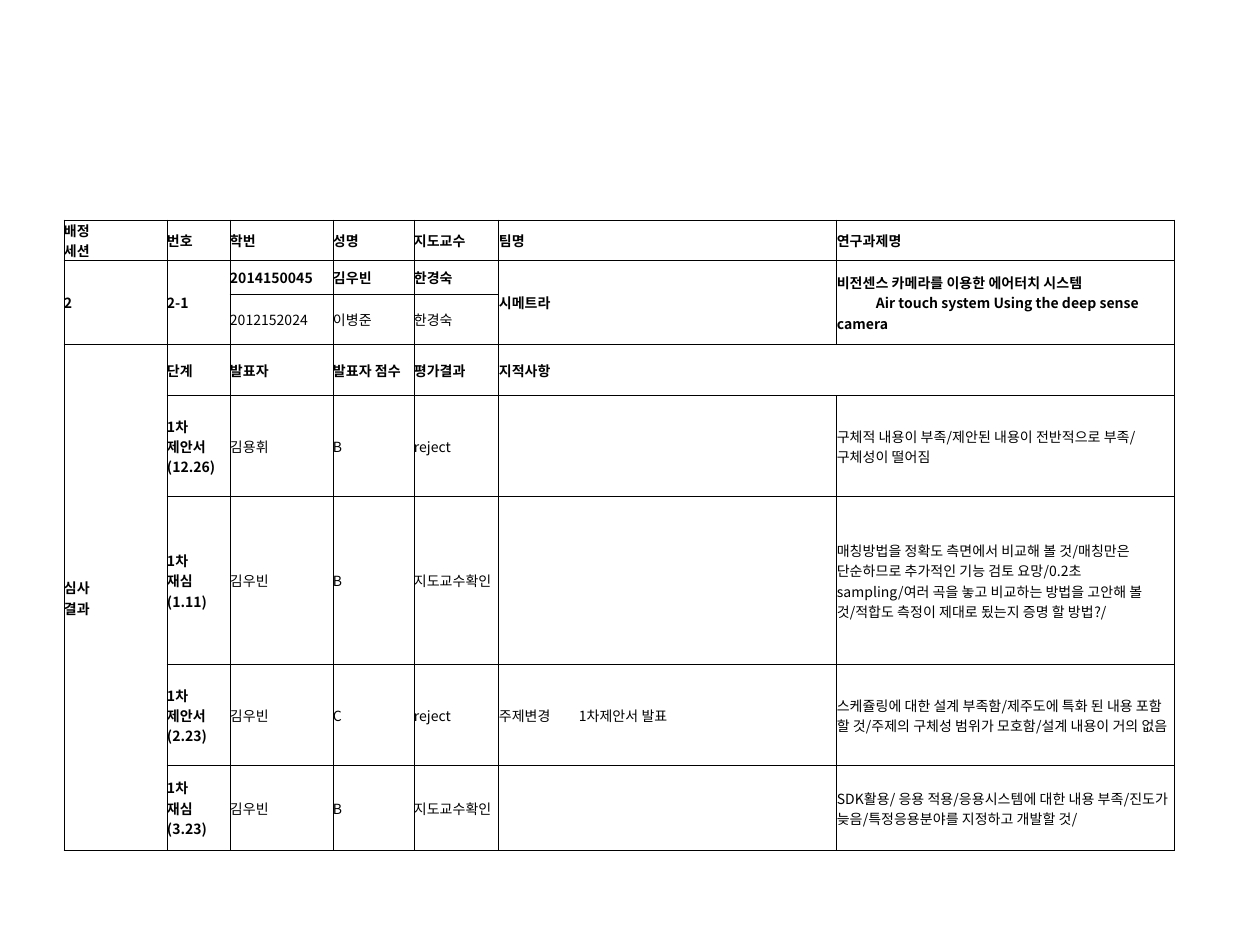
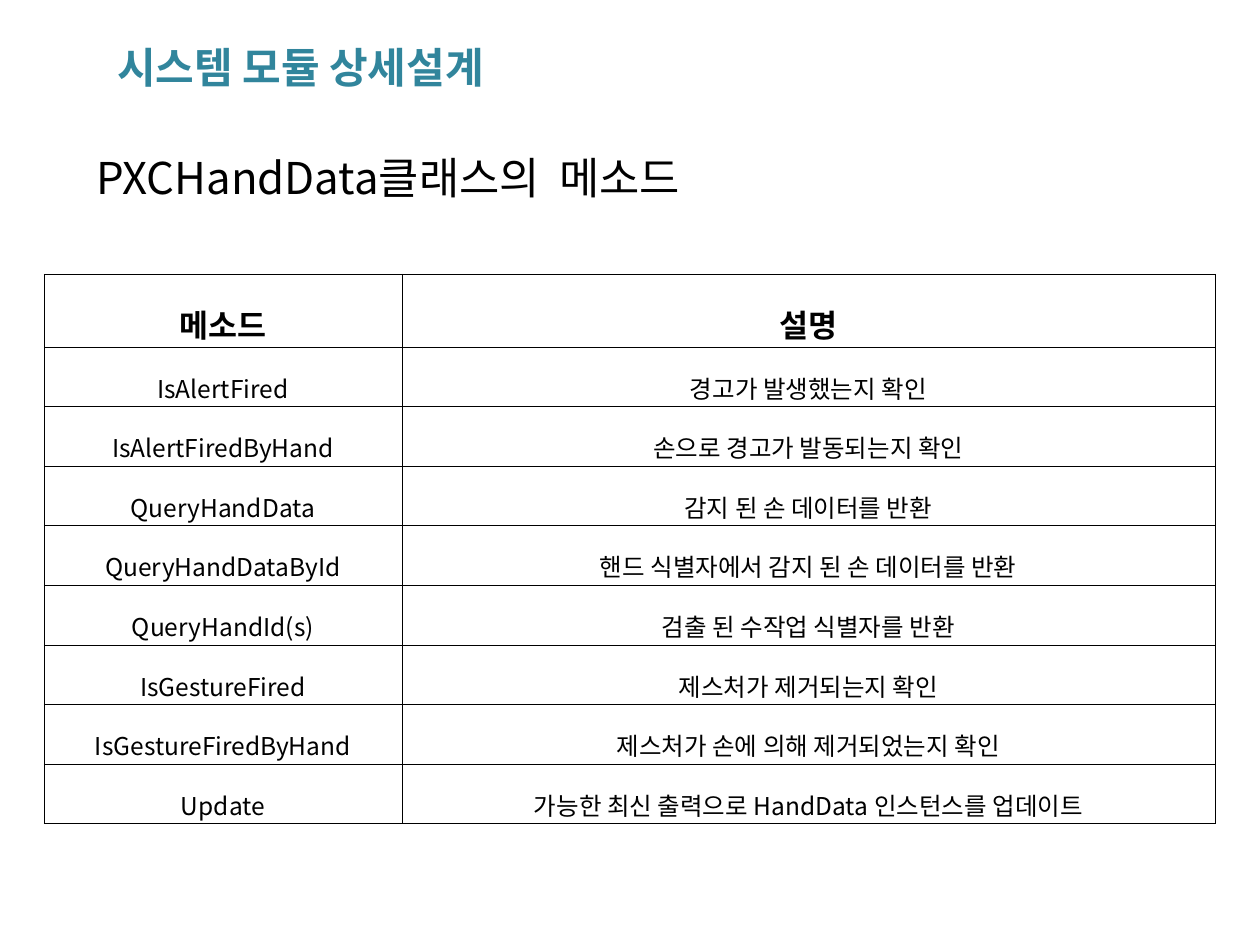
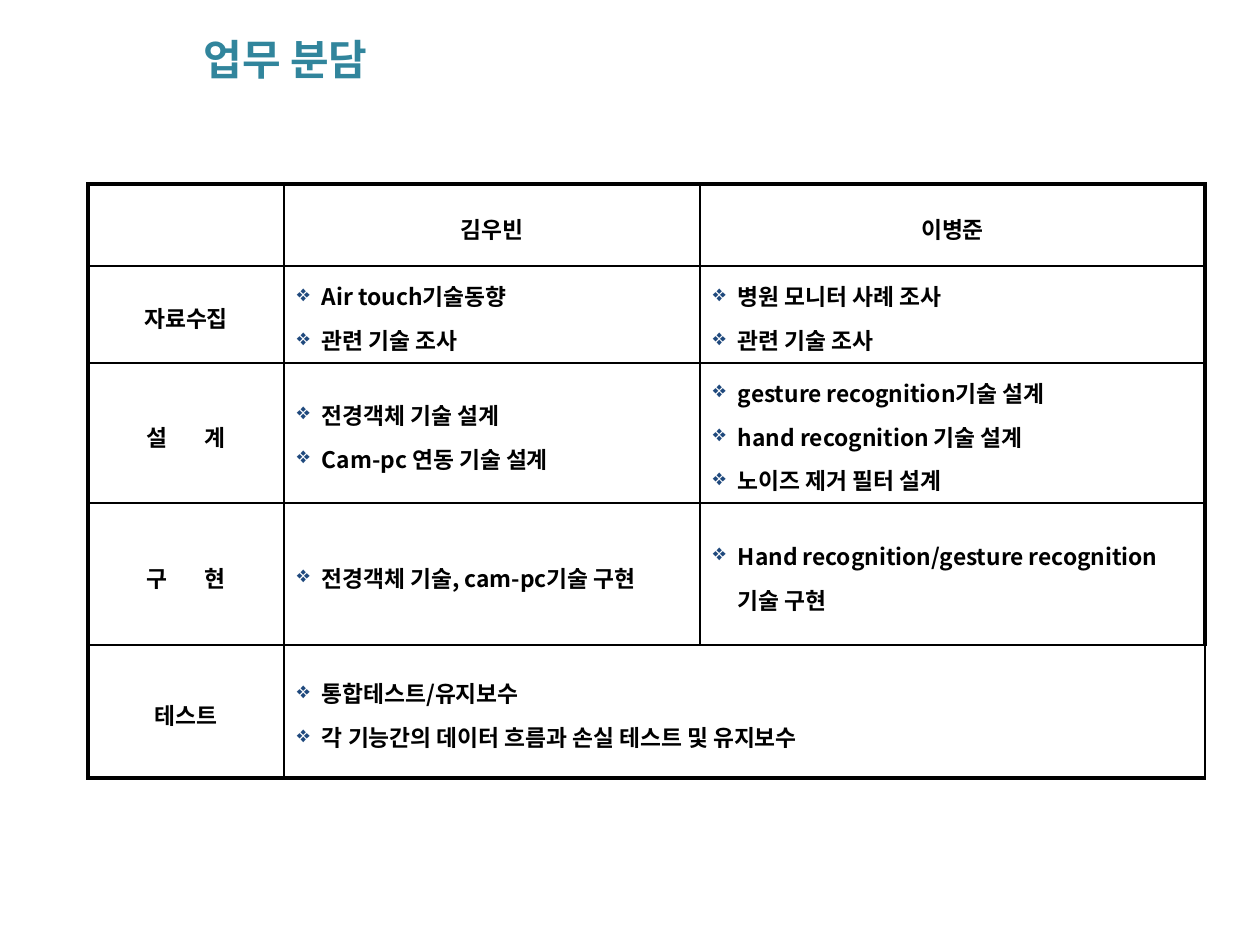
from lxml import etree
from pptx import Presentation
from pptx.dml.color import RGBColor
from pptx.enum.text import MSO_ANCHOR, MSO_AUTO_SIZE, PP_ALIGN
from pptx.oxml.ns import qn
from pptx.util import Pt

MIDDLE = MSO_ANCHOR.MIDDLE
LEFT, CENTER = PP_ALIGN.LEFT, PP_ALIGN.CENTER
FIXED, GROW = MSO_AUTO_SIZE.NONE, MSO_AUTO_SIZE.SHAPE_TO_FIT_TEXT
FONT = "Noto Sans CJK KR"
BLACK, TEAL, NAVY = "000000", "31859C", "1F497D"
TITLE_ONLY, BLANK = 5, 6
HANG = 25


def px(count):
    return round(count * 914400 / 126)


def color(text):
    return RGBColor.from_string(text)


def node(tag, **attrs):
    item = etree.Element(qn(tag))
    for key, value in attrs.items():
        item.set(key, str(value))
    return item


def paint(tag, shade):
    """Wrap a solid colour in the given element."""
    item = node(tag)
    item.append(node("a:srgbClr", val=shade))
    return item


class Deck:
    def __init__(self):
        self.prs = Presentation()
        self.prs.slide_width, self.prs.slide_height = px(1260), px(945)
        self.slide = None

    def add(self, layout):
        self.slide = self.prs.slides.add_slide(self.prs.slide_layouts[layout])

    def style(self, para, size, bold=False, shade=BLACK, align=LEFT):
        para.alignment = align
        font = para.font
        font.size, font.bold, font.name = Pt(size), bold, FONT
        font.color.rgb = color(shade)
        font._rPr.append(node("a:ea", typeface=FONT))

    def title(self, text, left, top):
        self.add(TITLE_ONLY)
        shape = self.slide.shapes.title
        shape.left, shape.top = px(left), px(top)
        shape.width, shape.height = px(493), px(59)
        frame = shape.text_frame
        frame.text = text
        frame.auto_size, frame.vertical_anchor = FIXED, MIDDLE
        self.style(frame.paragraphs[0], 24, True, TEAL, CENTER)

    def label(self, text, left, top, width, height, size):
        box = self.slide.shapes.add_textbox(px(left), px(top), px(width), px(height))
        frame = box.text_frame
        frame.text = text
        frame.word_wrap, frame.auto_size = False, GROW
        self.style(frame.paragraphs[0], size)

    def indent(self, para, left, first):
        props = para._p.get_or_add_pPr()
        props.set("marL", str(px(left)))
        props.set("indent", str(px(first)))

    def bullet(self, para):
        self.indent(para, HANG, -HANG)
        mark = para.font._rPr
        mark.addprevious(paint("a:buClr", NAVY))
        mark.addprevious(node("a:buChar", char="❖"))

    def tab(self, para, stop):
        tabs = node("a:tabLst")
        tabs.append(node("a:tab", pos=px(stop), algn="l"))
        para.font._rPr.addprevious(tabs)

    def spread(self, para, gap):
        """Widen the space between the two syllables of a label."""
        head, tail = para.text.split()
        para.clear()
        run = para.add_run()
        run.text = head + " "
        run._r.get_or_add_rPr().set("spc", str(gap * 100))
        para.add_run().text = tail

    def border(self, cell, widths):
        props = cell._tc.get_or_add_tcPr()
        for spot, (side, width) in enumerate(zip("LRTB", widths)):
            line = node(f"a:ln{side}", w=int(Pt(width)))
            line.append(paint("a:solidFill", BLACK))
            props.insert(spot, line)

    def fill(self, cell, lines, size, bold, align, leading, before):
        frame = cell.text_frame
        for spot, line in enumerate(lines):
            para = frame.paragraphs[0] if spot == 0 else frame.add_paragraph()
            para.text = line.removeprefix("* ")
            self.style(para, size, bold, align=align)
            if leading:
                para.line_spacing = leading
            if before:
                para.space_before = Pt(before)
            if line.startswith("* "):
                self.bullet(para)

    def table(self, data, left, top, cols, rows, look, inner, outer,
              pad=(0, 0), spans=(), leading=None, before=None):
        """look(row, col) gives the size, weight and alignment of a cell."""
        grid = self.slide.shapes.add_table(
            len(rows), len(cols), px(left), px(top), px(sum(cols)), px(sum(rows))).table
        grid.first_row = grid.horz_banding = False
        for col, width in zip(grid.columns, cols):
            col.width = px(width)
        for row, height in zip(grid.rows, rows):
            row.height = px(height)
        ends = len(rows) - 1, len(cols) - 1
        for r, line in enumerate(data):
            for c, text in enumerate(line):
                cell = grid.cell(r, c)
                cell.fill.background()
                cell.vertical_anchor = MIDDLE
                cell.margin_left = cell.margin_right = px(pad[0])
                cell.margin_top = cell.margin_bottom = px(pad[1])
                edges = c == 0, c == ends[1], r == 0, r == ends[0]
                self.border(cell, [outer if edge else inner for edge in edges])
                if text:
                    lines = text if isinstance(text, list) else [text]
                    self.fill(cell, lines, *look(r, c), leading, before)
        for r, c, down, across in spans:
            grid.cell(r, c).merge(grid.cell(r + down - 1, c + across - 1))
        return grid


REVIEW = [
    ["배정\n세션", "번호", "학번", "성명", "지도교수", "팀명", "연구과제명"],
    ["2", "2-1", "2014150045", "김우빈", "한경숙", "시메트라",
     ["비전센스 카메라를 이용한 에어터치 시스템",
      "Air touch system Using the deep sense camera"]],
    ["", "", "2012152024", "이병준", "한경숙", "", ""],
    ["심사\n결과", "단계", "발표자", "발표자 점수", "평가결과", "지적사항", ""],
    ["", "1차\n제안서\n(12.26)", "김용휘", "B", "reject", "",
     "구체적 내용이 부족/제안된 내용이 전반적으로 부족/\n구체성이 떨어짐"],
    ["", "1차\n재심\n(1.11)", "김우빈", "B", "지도교수확인", "",
     "매칭방법을 정확도 측면에서 비교해 볼 것/매칭만은 단순하므로 추가적인 기능 검토 "
     "요망/0.2초 sampling/여러 곡을 놓고 비교하는 방법을 고안해 볼 것/적합도 측정이 "
     "제대로 됬는지 증명 할 방법?/"],
    ["", "1차\n제안서\n(2.23)", "김우빈", "C", "reject", "주제변경\t1차제안서 발표",
     "스케쥴링에 대한 설계 부족함/제주도에 특화 된 내용 포함 할 것/주제의 구체성 "
     "범위가 모호함/설계 내용이 거의 없음"],
    ["", "1차\n재심\n(3.23)", "김우빈", "B", "지도교수확인", "",
     "SDK활용/ 응용 적용/응용시스템에 대한 내용 부족/진도가 늦음/특정응용분야를 "
     "지정하고 개발할 것/"],
]

METHODS = [
    ["메소드", "설명"],
    ["IsAlertFired", "경고가 발생했는지 확인"],
    ["IsAlertFiredByHand", "손으로 경고가 발동되는지 확인"],
    ["QueryHandData", "감지 된 손 데이터를 반환"],
    ["QueryHandDataById", "핸드 식별자에서 감지 된 손 데이터를 반환"],
    ["QueryHandId(s)", "검출 된 수작업 식별자를 반환"],
    ["IsGestureFired", "제스처가 제거되는지 확인"],
    ["IsGestureFiredByHand", "제스처가 손에 의해 제거되었는지 확인"],
    ["Update", "가능한 최신 출력으로 HandData 인스턴스를 업데이트"],
]

# Lines that start with "* " get a bullet
TASKS = [
    ["", "김우빈", "이병준"],
    ["자료수집", ["* Air touch기술동향", "* 관련 기술 조사"],
     ["* 병원 모니터 사례 조사", "* 관련 기술 조사"]],
    ["설 계", ["* 전경객체 기술 설계", "* Cam-pc 연동 기술 설계"],
     ["* gesture recognition기술 설계", "* hand recognition 기술 설계",
      "* 노이즈 제거 필터 설계"]],
    ["구 현", ["* 전경객체 기술, cam-pc기술 구현"],
     ["* Hand recognition/gesture recognition", "기술 구현"]],
    ["테스트", ["* 통합테스트/유지보수",
             "* 각 기능간의 데이터 흐름과 손실 테스트 및 유지보수"], ""],
]


def review(deck):
    deck.add(BLANK)
    grid = deck.table(
        REVIEW, 64, 220, [103, 63, 103, 81, 85, 338, 338],
        [34, 34, 50, 51, 101, 168, 101, 85],
        lambda r, c: (8, r in (0, 1, 3) or c < 2, LEFT), 0.5, 0.5,
        spans=[(1, 0, 2, 1), (1, 1, 2, 1), (1, 5, 2, 1), (1, 6, 2, 1),
               (3, 0, 5, 1), (3, 5, 1, 2)])
    deck.indent(grid.cell(1, 6).text_frame.paragraphs[1], 0, 39)
    deck.tab(grid.cell(6, 5).text_frame.paragraphs[0], 80)


def methods(deck):
    deck.title("시스템 모듈 상세설계", 54, 37)
    deck.label("PXCHandData클래스의  메소드", 84, 145, 644, 66, 25)
    count = len(METHODS) - 1
    deck.table(METHODS, 44, 274, [358, 813], [73] + [477 / count] * count,
               lambda r, c: (14 if r else 18, r == 0, CENTER), 0.28, 0.28,
               leading=1.6)


def tasks(deck):
    deck.title("업무 분담", 39, 29)
    grid = deck.table(
        TASKS, 88, 184, [196, 416, 505], [82, 97, 140, 142, 133],
        lambda r, c: (13, True, LEFT if r and c else CENTER), 1, 2.25,
        pad=(13, 6), spans=[(4, 1, 1, 2)], leading=1.2, before=2.6)
    for row in (2, 3):
        deck.spread(grid.cell(row, 0).text_frame.paragraphs[0], 9)
    deck.indent(grid.cell(3, 2).text_frame.paragraphs[1], HANG, 0)


def main():
    deck = Deck()
    for build in (review, methods, tasks):
        build(deck)
    deck.prs.save("out.pptx")


if __name__ == "__main__":
    main()
